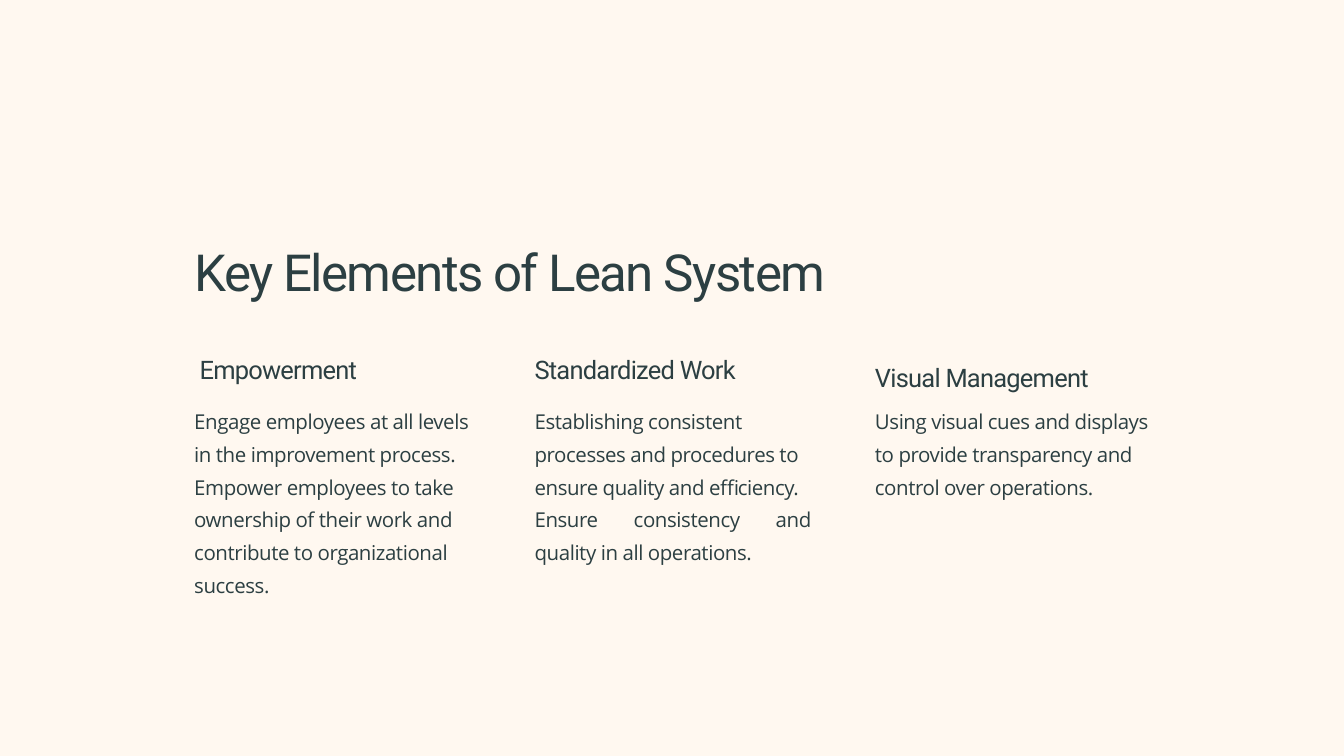
from pptx import Presentation
from pptx.dml.color import RGBColor
from pptx.enum.shapes import MSO_SHAPE as Shape
from pptx.enum.text import MSO_ANCHOR as Anchor, MSO_AUTO_SIZE as AutoSize, PP_ALIGN as Align
from pptx.util import Inches, Pt

TITLE = "Key Elements of Lean System"
ELEMENTS = [
    {"heading": "Empowerment", "top": 5.25, "indent": 0.08, "height": 3.32, "body": [
        ("Engage employees at all levels in the improvement process.", Align.LEFT),
        ("Empower employees to take ownership of their work and contribute to "
         "organizational success.", Align.LEFT)]},
    {"heading": "Standardized Work", "top": 5.25, "indent": 0, "height": 2.84, "body": [
        ("Establishing consistent processes and procedures to ensure quality and "
         "efficiency.", Align.LEFT),
        ("Ensure consistency and quality in all operations.", Align.JUSTIFY)]},
    {"heading": "Visual Management", "top": 5.37, "indent": 0, "height": 1.44, "body": [
        ("Using visual cues and displays to provide transparency and control over "
         "operations.", Align.LEFT)]},
]
CREAM, INK = "FFF8F0", "2C3F42"
LEFT, COLUMN_STEP, BODY_TOP = 2.89, 5.065, 5.97
TITLE_STYLE = {"font": {"name": "Roboto", "size": Pt(54.7)}, "line": 68.3, "tracking": -168}
HEADING_STYLE = {"font": {"name": "Roboto", "size": Pt(27.3)}, "line": 34.2, "tracking": -80}
BODY_STYLE = {"font": {"name": "Open Sans", "size": Pt(21.9)}, "line": 35, "tracking": -48}
FRAME = {"word_wrap": True, "auto_size": AutoSize.NONE, "vertical_anchor": Anchor.TOP,
         "margin_left": 0, "margin_top": 0, "margin_right": 0, "margin_bottom": 0}


def set_all(target, values):
    """Set every named value as an attribute of the target."""
    for name, value in values.items():
        setattr(target, name, value)


def paint(color_format, hex_color):
    """Give a colour format a hex colour."""
    color_format.rgb = RGBColor.from_string(hex_color)


def write(frame, paragraphs, style, indent=0):
    """Fill a text frame with aligned paragraphs in one style."""
    set_all(frame, FRAME | {"margin_left": Inches(indent)})
    for index, (text, alignment) in enumerate(paragraphs):
        paragraph = frame.add_paragraph() if index else frame.paragraphs[0]
        set_all(paragraph, {"alignment": alignment, "line_spacing": Pt(style["line"]),
                            "space_before": Pt(0), "space_after": Pt(0)})
        run = paragraph.add_run()
        run.text = text
        set_all(run.font, style["font"])
        paint(run.font.color, INK)
        run._r.get_or_add_rPr().set("spc", str(style["tracking"]))


def add_backdrop(slide, width, height):
    """Cover the slide with a cream panel behind everything else."""
    backdrop = slide.shapes.add_shape(Shape.RECTANGLE, 0, 0, width, height)
    backdrop.shadow.inherit = False
    backdrop.fill.solid()
    paint(backdrop.fill.fore_color, CREAM)
    backdrop.line.fill.background()
    slide.shapes.title._element.addprevious(backdrop._element)


def main():
    """Build the slide and save it."""
    deck = Presentation()
    set_all(deck, {"slide_width": Inches(20), "slide_height": Inches(11.25)})
    slide = deck.slides.add_slide(deck.slide_layouts[5])
    add_backdrop(slide, deck.slide_width, deck.slide_height)

    title = slide.shapes.title
    set_all(title, {"left": Inches(LEFT), "top": Inches(3.54),
                    "width": Inches(12.93), "height": Inches(0.94)})
    write(title.text_frame, [(TITLE, Align.LEFT)], TITLE_STYLE)

    for column, element in enumerate(ELEMENTS):
        left = Inches(LEFT + column * COLUMN_STEP)
        heading = slide.shapes.add_textbox(left, Inches(element["top"]), Inches(3.6), Inches(0.5))
        write(heading.text_frame, [(element["heading"], Align.LEFT)], HEADING_STYLE,
              element["indent"])
        body = slide.shapes.add_textbox(left, Inches(BODY_TOP), Inches(4.11),
                                        Inches(element["height"]))
        write(body.text_frame, element["body"], BODY_STYLE)

    deck.save("out.pptx")


if __name__ == "__main__":
    main()
